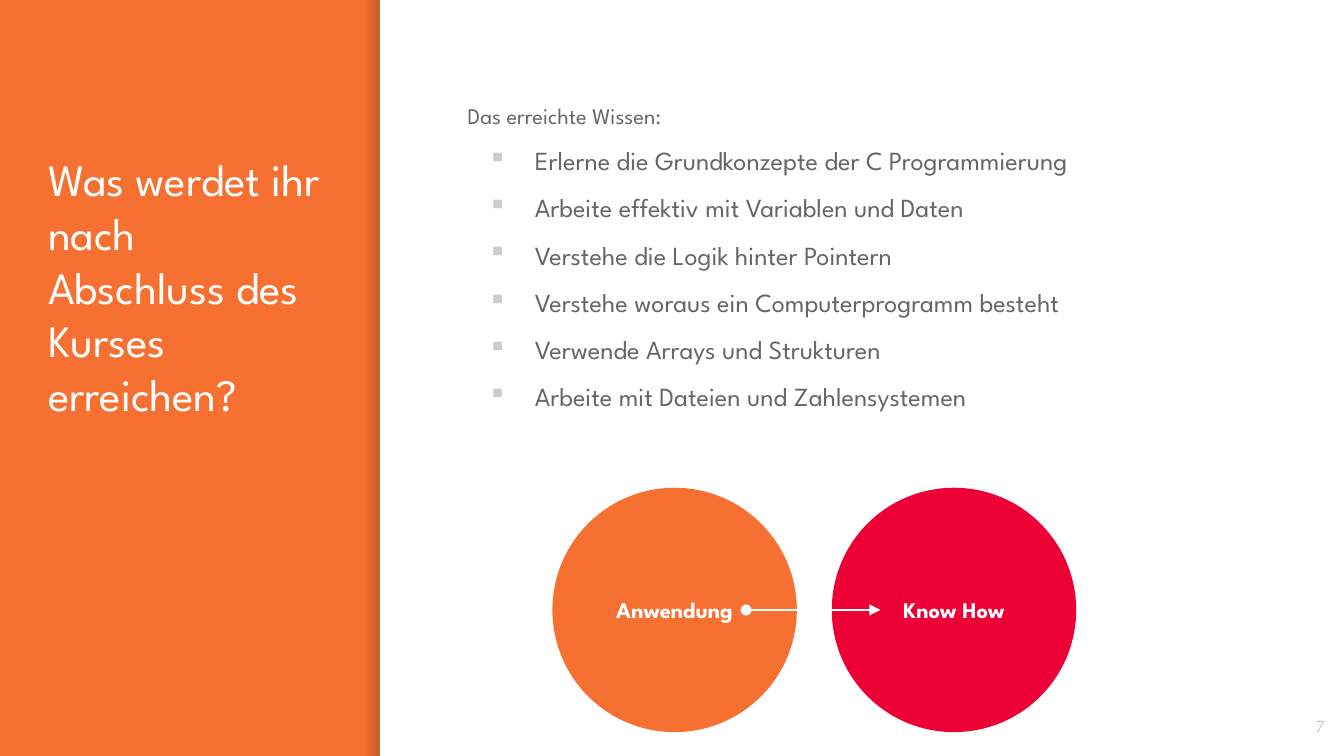
from lxml.etree import SubElement
from pptx import Presentation
from pptx.dml.color import RGBColor
from pptx.enum.shapes import MSO_CONNECTOR, MSO_SHAPE
from pptx.enum.text import MSO_ANCHOR, PP_ALIGN
from pptx.oxml.ns import qn
from pptx.util import Cm, Pt

ORANGE = RGBColor(0xF6, 0x70, 0x31)
RED = RGBColor(0xED, 0x00, 0x36)
WHITE = RGBColor(0xFF, 0xFF, 0xFF)
GREY = RGBColor(0x66, 0x66, 0x66)
PALE = RGBColor(0xCC, 0xCC, 0xCC)
DARK = RGBColor(0x00, 0x00, 0x14)

deck = Presentation()
deck.slide_width, deck.slide_height = Cm(25.4), Cm(14.29)
slide = deck.slides.add_slide(deck.slide_layouts[6])
slide.background.fill.solid()
slide.background.fill.fore_color.rgb = ORANGE


def add_form(kind, box, fill=None):
    form = slide.shapes.add_shape(kind, *map(Cm, box))
    form.shadow.inherit = False
    form.line.fill.background()
    if fill is not None:
        form.fill.solid()
        form.fill.fore_color.rgb = fill
    return form


def write(form, lines, size, color, look={}, bold=False, anchor=MSO_ANCHOR.TOP):
    frame = form.text_frame
    edges = dict.fromkeys(("left", "top", "right", "bottom"), Cm(0.25))
    setup = {f"margin_{side}": gap for side, gap in edges.items()}
    setup |= {"word_wrap": True, "vertical_anchor": anchor}
    for name, value in setup.items():
        setattr(frame, name, value)
    frame.text = "\n".join(lines)
    font = {"name": "League Spartan", "size": Pt(size), "bold": bold}
    for para in frame.paragraphs:
        for name, value in look.items():
            setattr(para, name, value)
        for name, value in font.items():
            setattr(para.runs[0].font, name, value)
        para.runs[0].font.color.rgb = color
    return frame.paragraphs


shade = add_form(MSO_SHAPE.RECTANGLE, (6.87, 0, 0.32, 14.29))
shade.fill.gradient()
shade.fill.gradient_angle = 0
for stop in shade.fill.gradient_stops:
    stop.color.rgb = DARK
for tone, alpha in zip(shade._element.spPr.iter(qn("a:srgbClr")), (0, 20000)):
    SubElement(tone, qn("a:alpha"), val=str(alpha))
add_form(MSO_SHAPE.RECTANGLE, (7.18, 0, 18.22, 14.29), WHITE)

title = slide.shapes.add_textbox(Cm(0.66), Cm(2.62), Cm(5.69), Cm(10.03))
write(title, ["Was werdet ihr nach Abschluss des Kurses erreichen?"], 24, WHITE)

goals = [
    "Das erreichte Wissen:",
    "Erlerne die Grundkonzepte der C Programmierung",
    "Arbeite effektiv mit Variablen und Daten",
    "Verstehe die Logik hinter Pointern",
    "Verstehe woraus ein Computerprogramm besteht",
    "Verwende Arrays und Strukturen",
    "Arbeite mit Dateien und Zahlensystemen",
]
body = slide.shapes.add_textbox(Cm(8.59), Cm(1.6), Cm(15.54), Cm(7.67))
look = {"line_spacing": 1.15, "space_before": Pt(6)}
intro, *items = write(body, goals, 14, GREY, look)
intro.runs[0].font.size = Pt(12)
for item in items:
    props = item._p.get_or_add_pPr()
    for name, value in {"marL": Cm(1.27), "indent": Cm(-0.89)}.items():
        props.set(name, str(value))
    SubElement(SubElement(props, qn("a:buClr")), qn("a:srgbClr"), val=str(PALE))
    SubElement(props, qn("a:buChar"), char="▪")

page = slide.shapes.add_textbox(Cm(23.77), Cm(13.18), Cm(1.52), Cm(1.09))
write(page, ["7"], 10, PALE, {"alignment": PP_ALIGN.RIGHT}, anchor=MSO_ANCHOR.MIDDLE)

for left, label, fill in ((10.44, "Anwendung", ORANGE), (15.72, "Know How", RED)):
    disc = add_form(MSO_SHAPE.OVAL, (left, 9.22, 4.62, 4.62), fill)
    mid = {"alignment": PP_ALIGN.CENTER}
    write(disc, [label], 12, WHITE, mid, True, MSO_ANCHOR.MIDDLE)

arrow = slide.shapes.add_connector(
    MSO_CONNECTOR.STRAIGHT, Cm(14.1), Cm(11.53), Cm(16.64), Cm(11.53)
)
arrow.line.color.rgb = WHITE
arrow.line.width = Pt(1.5)
for end, kind in (("a:headEnd", "oval"), ("a:tailEnd", "triangle")):
    SubElement(arrow.line._get_or_add_ln(), qn(end), type=kind)
SubElement(arrow._element.spPr, qn("a:effectLst"))

deck.save("out.pptx")
